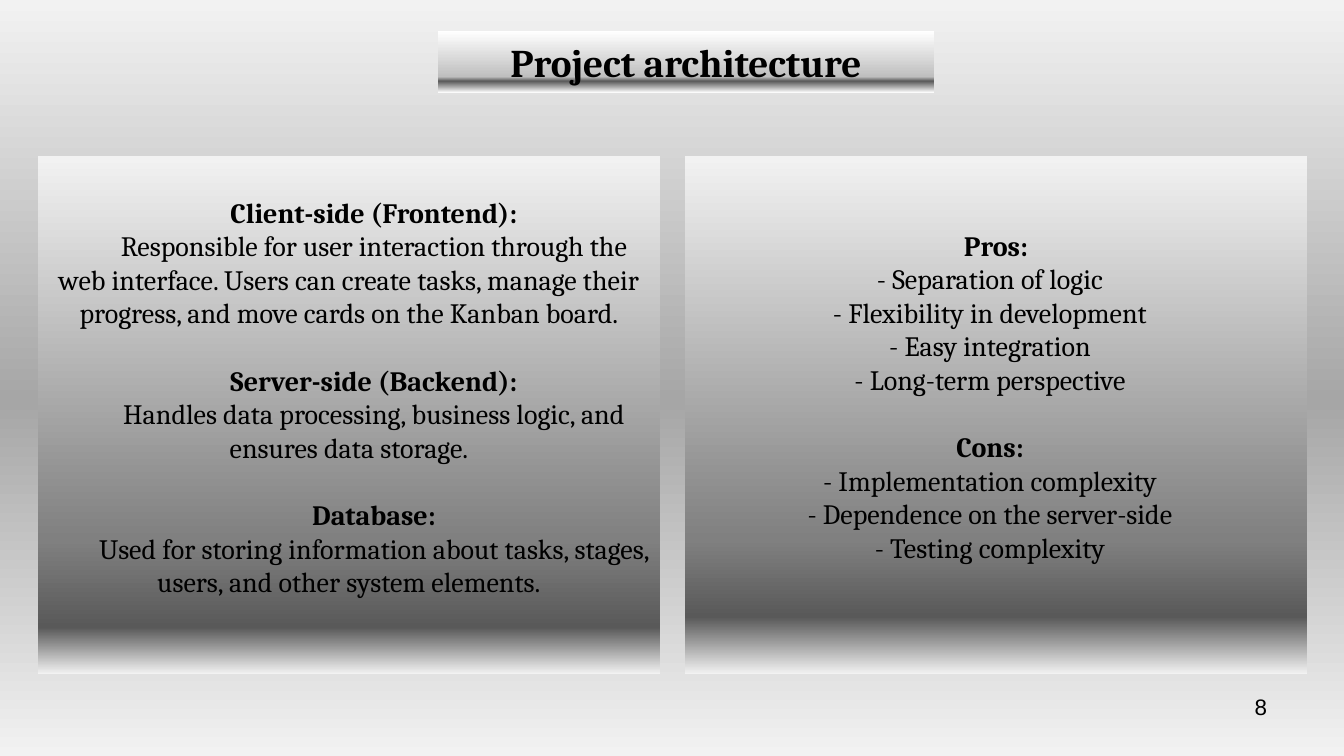
from dataclasses import dataclass

from pptx import Presentation
from pptx.dml.color import RGBColor
from pptx.dml.fill import FillFormat
from pptx.enum.shapes import MSO_SHAPE as SHAPE
from pptx.enum.text import MSO_ANCHOR as ANCHOR, PP_ALIGN as ALIGN
from pptx.oxml.ns import qn
from pptx.oxml.xmlchemy import BaseOxmlElement as Element
from pptx.slide import Slide
from pptx.text.text import TextFrame
from pptx.util import Emu, Pt
from lxml.etree import SubElement

SLIDE_W, SLIDE_H = 1344, 756
EMU_PER_PX = 12192000 / SLIDE_W
SECTION_GAP = Pt(24)

BLACK = RGBColor(0x00, 0x00, 0x00)
WHITE = RGBColor(0xFF, 0xFF, 0xFF)
PALE = RGBColor(0xF2, 0xF2, 0xF2)
SILVER = RGBColor(0xBF, 0xBF, 0xBF)
ASH = RGBColor(0xA6, 0xA6, 0xA6)
GRAY = RGBColor(0x80, 0x80, 0x80)
CHARCOAL = RGBColor(0x59, 0x59, 0x59)

Stops = list[tuple[int, RGBColor]]


@dataclass
class Line:
    text: str
    heading: bool = False
    right_margin: int = 0


@dataclass
class Box:
    left: int
    top: int
    width: int
    height: int
    stops: Stops
    lines: list[Line]
    size: int = 20
    anchor: ANCHOR = ANCHOR.TOP
    inset_top: int = 5
    indent: int = 0


def px(n: int) -> Emu:
    return Emu(round(n * EMU_PER_PX))


def fill_gradient(fill: FillFormat, owner: Element, stops: Stops) -> None:
    fill.gradient()
    fill.gradient_angle = 270
    gs_list = owner.find(".//" + qn("a:gsLst"))
    for gs in list(gs_list):
        gs_list.remove(gs)
    for percent, color in stops:
        gs = SubElement(gs_list, qn("a:gs"), pos=str(percent * 1000))
        SubElement(gs, qn("a:srgbClr"), val=str(color))


def write_lines(tf: TextFrame, lines: list[Line], size: int, font: str,
                align: ALIGN, indent: int = 0) -> None:
    tf.word_wrap = True
    for i, line in enumerate(lines):
        p = tf.add_paragraph() if i else tf.paragraphs[0]
        p.text = line.text
        p.alignment = align
        if line.heading and i:
            p.space_before = SECTION_GAP
        p_pr = p._p.get_or_add_pPr()
        if indent:
            p_pr.set("indent", str(px(indent)))
        if line.right_margin:
            p_pr.set("marR", str(px(line.right_margin)))
        for r in p.runs:
            r.font.name = font
            r.font.size = Pt(size)
            r.font.bold = line.heading
            r.font.color.rgb = BLACK


def add_box(s: Slide, box: Box) -> None:
    sp = s.shapes.add_shape(SHAPE.RECTANGLE, px(box.left), px(box.top),
                            px(box.width), px(box.height))
    sp.shadow.inherit = False
    sp.line.fill.background()
    fill_gradient(sp.fill, sp.element, box.stops)
    tf = sp.text_frame
    tf.vertical_anchor = box.anchor
    tf.margin_top = px(box.inset_top)
    write_lines(tf, box.lines, box.size, "Cambria", ALIGN.CENTER, box.indent)


def add_page_number(s: Slide, number: str) -> None:
    sp = s.shapes.add_textbox(px(964), px(688), px(313), px(52))
    write_lines(sp.text_frame, [Line(number)], 16, "Arial", ALIGN.RIGHT)


def panel(left: int, dark_stop: int, lines: list[Line], inset_top: int,
          indent: int = 0) -> Box:
    stops = [(0, PALE), (74, GRAY), (dark_stop, CHARCOAL), (100, PALE)]
    return Box(left, 156, 622, 518, stops, lines,
               inset_top=inset_top, indent=indent)


TITLE = Box(438, 31, 496, 62,
            [(0, WHITE), (74, SILVER), (81, CHARCOAL), (100, WHITE)],
            [Line("Project architecture", heading=True)],
            size=28, anchor=ANCHOR.MIDDLE)

LAYERS = [
    Line("Client-side (Frontend):", heading=True),
    Line("Responsible for user interaction through the web interface. "
         "Users can create tasks, manage their progress, "
         "and move cards on the Kanban board."),
    Line("Server-side (Backend):", heading=True),
    Line("Handles data processing, business logic, and ensures data storage."),
    Line("Database:", heading=True),
    Line("Used for storing information about tasks, stages, users, "
         "and other system elements."),
]

PROS_AND_CONS = [
    Line("Pros:", heading=True),
    Line("- Separation of logic", right_margin=12),
    Line("- Flexibility in development", right_margin=12),
    Line("- Easy integration", right_margin=12),
    Line("- Long-term perspective", right_margin=12),
    Line("Cons:", heading=True),
    Line("- Implementation complexity", right_margin=12),
    Line("- Dependence on the server-side", right_margin=12),
    Line("- Testing complexity"),
]


def main() -> None:
    prs = Presentation()
    prs.slide_width, prs.slide_height = px(SLIDE_W), px(SLIDE_H)
    s = prs.slides.add_slide(prs.slide_layouts[6])
    fill_gradient(s.background.fill, s.element,
                  [(0, PALE), (53, ASH), (100, PALE)])
    add_page_number(s, "8")
    for box in (TITLE, panel(38, 91, LAYERS, 39, indent=50),
                panel(685, 89, PROS_AND_CONS, 72)):
        add_box(s, box)
    prs.save("out.pptx")


if __name__ == "__main__":
    main()
